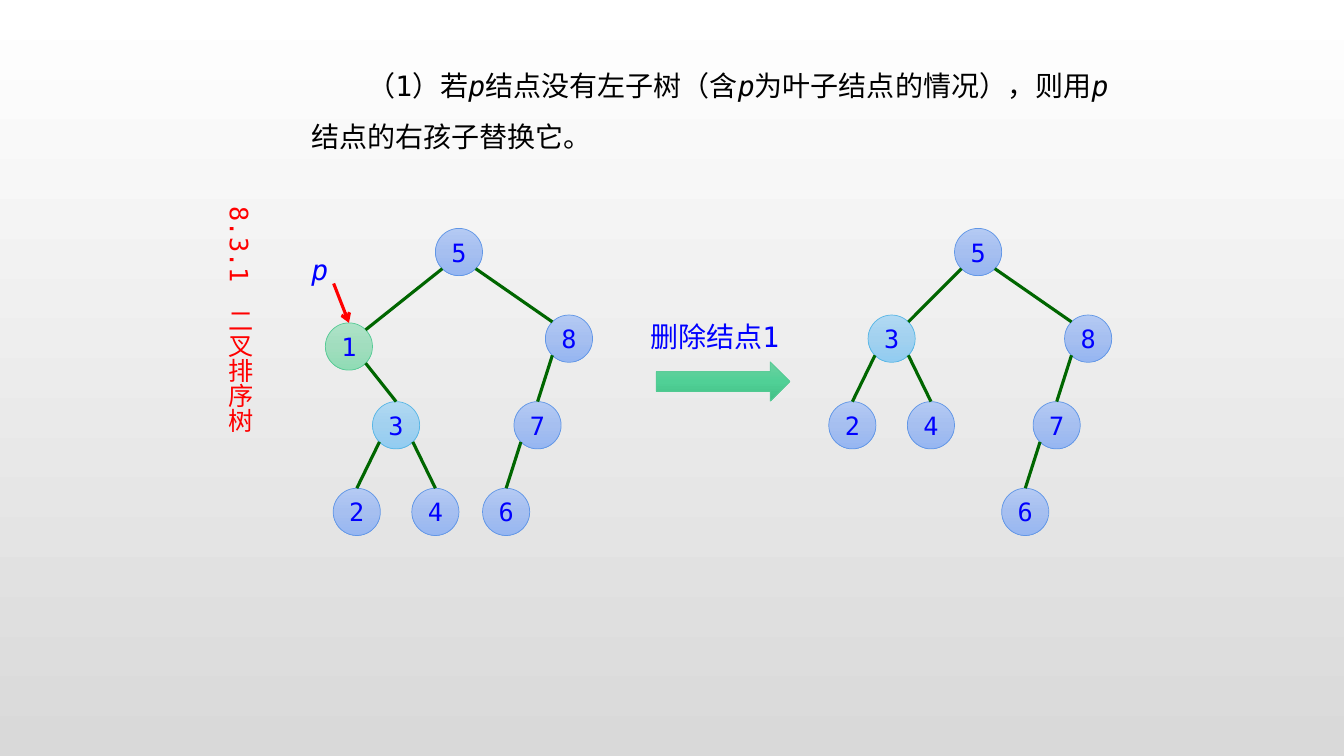
import copy
import math
from dataclasses import dataclass
from typing import Any

import pptx
import pptx.dml.color
import pptx.enum.shapes
import pptx.enum.text
import pptx.oxml
import pptx.oxml.ns
import pptx.util

SLIDE_WIDTH = pptx.util.Inches(13.33)
SLIDE_HEIGHT = pptx.util.Inches(7.5)
COLUMNS, ROWS = 171, 96
NODE_SPAN = 6
RADIUS = NODE_SPAN / 2
CORNER = RADIUS * math.sqrt(0.5)
ROOT_ROW = 29

COLOURS = {
    "text": "000000",
    "label": "0000FF",
    "chapter": "FF0000",
    "edge": "006600",
    "pointer": "FF0000",
    "blue_line": "6096E6",
    "green_line": "56CA95",
    "cyan_line": "58B6E5",
}
GRADIENTS = {
    "background": ["FFFFFF", "D9D9D9"],
    "blue": ["B4CAF3", "A6BFF0", "96B6F1"],
    "green": ["AEE3C8", "A1DDBE", "90DCB5"],
    "cyan": ["B1D9F3", "A2D1EF", "92CCF1"],
    "arrow": ["6DD1A1", "50D096", "41BF85"],
}
FONT_FACE = "DejaVu Sans Mono"
LARGE = {"name": FONT_FACE, "size": pptx.util.Pt(20)}
SMALL = {"name": FONT_FACE, "size": pptx.util.Pt(18)}
NODE_FRAME = {
    "margin_left": 0,
    "margin_right": 0,
    "word_wrap": True,
    "vertical_anchor": pptx.enum.text.MSO_ANCHOR.MIDDLE,
}


@dataclass(frozen=True)
class Place:
    column: float
    row: float
    columns: float
    rows: float


@dataclass(frozen=True)
class Node:
    key: str
    column: float
    row: float
    parent: str = ""
    tint: str = "blue"


@dataclass(frozen=True)
class Tree:
    root_column: float
    nodes: tuple[Node, ...]


@dataclass(frozen=True)
class Run:
    text: str
    italic: bool = False


@dataclass(frozen=True)
class Label:
    place: Place
    runs: tuple[Run, ...]
    colour: str
    font: dict[str, Any]
    wrap: bool = False
    vertical: bool = False
    spacing: float = 1.0
    indent: float = 0


RIGHT_BRANCH = (Node("8", 14, 11, "5"), Node("7", 10, 22, "8"), Node("6", 6, 33, "7"))
BEFORE = Tree(55.4, (
    Node("5", 0, 0),
    Node("1", -14, 12, "5", "green"),
    Node("3", -8, 22, "1", "cyan"),
    Node("4", -3, 33, "3"),
    Node("2", -13, 33, "3"),
    *RIGHT_BRANCH,
))
AFTER = Tree(121.45, (
    Node("5", 0, 0),
    Node("3", -11, 11, "5", "cyan"),
    Node("4", -6, 22, "3"),
    Node("2", -16, 22, "3"),
    *RIGHT_BRANCH,
))
LABELS = (
    Label(Place(38.35, 6, 105, 14.2), (
        Run("（1）若"), Run("p", True), Run("结点没有左子树（含"), Run("p", True),
        Run("为叶子结点的情况），则用"), Run("p", True), Run("结点的右孩子替换它。"),
    ), "text", LARGE, wrap=True, spacing=1.5, indent=40),
    Label(Place(38.35, 31.4, 5, 5.6), (Run("p", True),), "label", LARGE),
    Label(Place(81.45, 39.95, 20, 5.6), (Run("删除结点1"),), "label", LARGE),
    Label(Place(26.7, 25, 6.4, 44), (Run("8.3.1　二叉排序树"),), "chapter", SMALL,
          wrap=True, vertical=True),
)
DELETE_ARROW = Place(83.5, 45.95, 17, 5)


def across(columns: float) -> int:
    return round(SLIDE_WIDTH * columns / COLUMNS)


def down(rows: float) -> int:
    return round(SLIDE_HEIGHT * rows / ROWS)


def box(place: Place) -> tuple[int, int, int, int]:
    return across(place.column), down(place.row), across(place.columns), down(place.rows)


def rgb(hex_value: str) -> Any:
    return pptx.dml.color.RGBColor.from_string(hex_value)


def apply(target: Any, values: dict[str, Any]) -> None:
    for attribute, value in values.items():
        setattr(target, attribute, value)


def paint(fill: Any, owner: Any, tint: str) -> None:
    colours = GRADIENTS[tint]
    fill.gradient()
    fill.gradient_angle = 270
    stops = owner.xpath(".//a:gradFill/a:gsLst")[0]
    for _ in colours[2:]:
        stops.append(copy.deepcopy(stops[-1]))
    for index, (stop, colour) in enumerate(zip(fill.gradient_stops, colours)):
        stop.color.rgb = rgb(colour)
        stop.position = index / (len(colours) - 1)


def add_solid(slide: Any, kind: Any, place: Place, tint: str, outline: str) -> Any:
    solid = slide.shapes.add_shape(kind, *box(place))
    solid.shadow.inherit = False
    paint(solid.fill, solid._element, tint)
    solid.line.color.rgb = rgb(COLOURS[outline])
    solid.line.width = pptx.util.Pt(0.5)
    return solid


def add_run(paragraph: Any, run: Run, font: dict[str, Any], colour: str) -> None:
    piece = paragraph.add_run()
    piece.text = run.text
    apply(piece.font, font | {"italic": run.italic})
    piece.font.color.rgb = rgb(COLOURS[colour])


def add_line(slide: Any, start: tuple[float, float], end: tuple[float, float], colour: str) -> Any:
    line = slide.shapes.add_connector(
        pptx.enum.shapes.MSO_CONNECTOR.STRAIGHT,
        across(start[0]), down(start[1]), across(end[0]), down(end[1]))
    line.line.color.rgb = rgb(COLOURS[colour])
    line.line.width = pptx.util.Pt(2.25)
    line._element.spPr.append(pptx.oxml.parse_xml(
        f"<a:effectLst {pptx.oxml.ns.nsdecls('a')}/>"))
    return line


def centre(tree: Tree, node: Node) -> tuple[float, float]:
    return tree.root_column + node.column + RADIUS, ROOT_ROW + node.row + RADIUS


def add_tree(slide: Any, tree: Tree) -> None:
    for node in tree.nodes:
        place = Place(tree.root_column + node.column, ROOT_ROW + node.row, NODE_SPAN, NODE_SPAN)
        circle = add_solid(slide, pptx.enum.shapes.MSO_SHAPE.OVAL, place,
                           node.tint, f"{node.tint}_line")
        apply(circle.text_frame, NODE_FRAME)
        paragraph = circle.text_frame.paragraphs[0]
        paragraph.alignment = pptx.enum.text.PP_ALIGN.CENTER
        add_run(paragraph, Run(node.key), SMALL, "label")
    by_key = {node.key: node for node in tree.nodes}
    for child in tree.nodes[1:]:
        parent = by_key[child.parent]
        (px, py), (cx, cy) = centre(tree, parent), centre(tree, child)
        side = math.copysign(CORNER, cx - px)
        end = (cx, cy - RADIUS) if parent.parent else (cx - side, cy - CORNER)
        add_line(slide, (px + side, py + CORNER), end, "edge")


def add_label(slide: Any, label: Label) -> None:
    frame = slide.shapes.add_textbox(*box(label.place)).text_frame
    frame.word_wrap = label.wrap
    if label.vertical:
        frame._txBody.bodyPr.set("vert", "eaVert")
    paragraph = frame.paragraphs[0]
    paragraph.line_spacing = label.spacing
    if label.indent:
        paragraph._p.get_or_add_pPr().set("indent", str(pptx.util.Pt(label.indent)))
    for run in label.runs:
        add_run(paragraph, run, label.font, label.colour)


def main() -> None:
    deck = pptx.Presentation()
    apply(deck, {"slide_width": SLIDE_WIDTH, "slide_height": SLIDE_HEIGHT})
    slide = deck.slides.add_slide(deck.slide_layouts[6])
    paint(slide.background.fill, slide._element, "background")
    for tree in (BEFORE, AFTER):
        add_tree(slide, tree)
    tip_column, tip_row = centre(BEFORE, BEFORE.nodes[1])
    pointer = add_line(slide, (42.45, 36), (tip_column, tip_row - RADIUS), "pointer")
    pointer.line._get_or_add_ln().append(pptx.oxml.parse_xml(
        f'<a:tailEnd {pptx.oxml.ns.nsdecls("a")} type="arrow"/>'))
    add_solid(slide, pptx.enum.shapes.MSO_SHAPE.RIGHT_ARROW, DELETE_ARROW, "arrow", "green_line")
    for label in LABELS:
        add_label(slide, label)
    deck.save("out.pptx")


if __name__ == "__main__":
    main()
